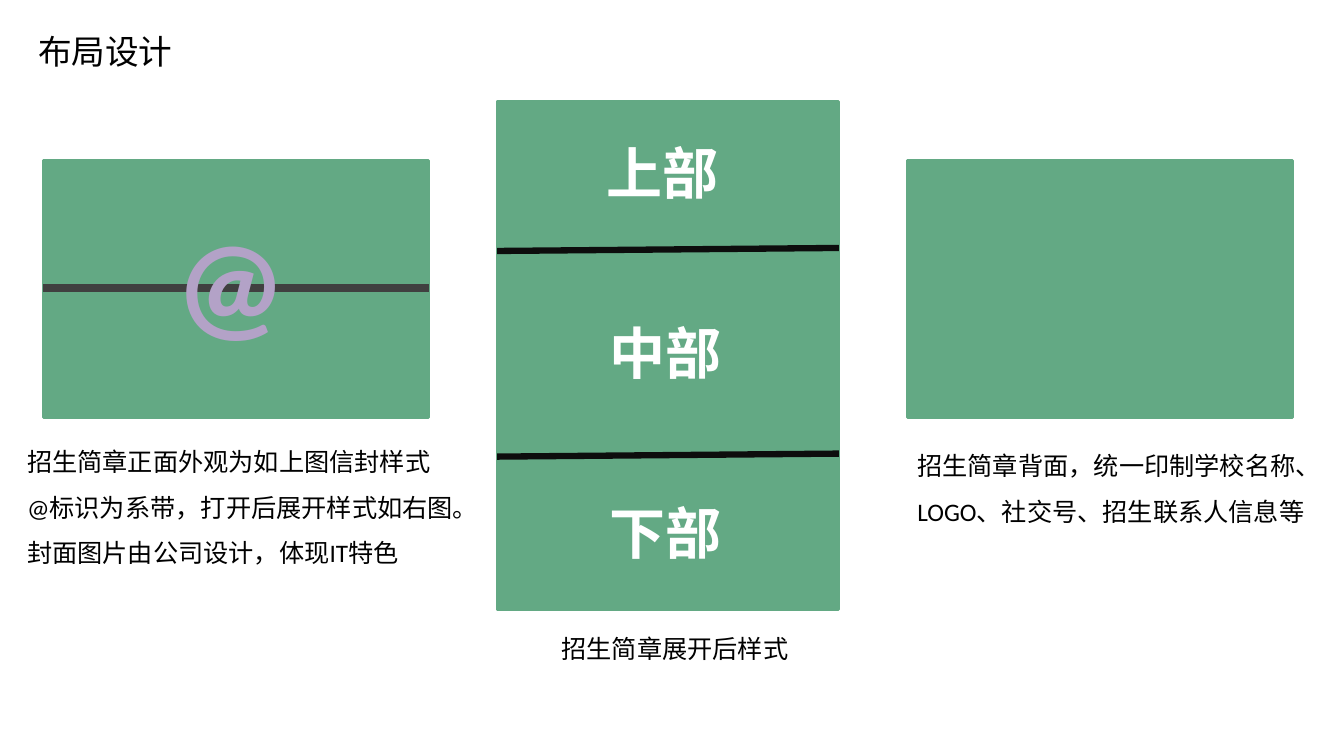
from dataclasses import dataclass

from lxml.etree import SubElement
from pptx import Presentation
from pptx.dml.color import RGBColor
from pptx.enum.shapes import MSO_CONNECTOR as Connector, MSO_SHAPE as Shape
from pptx.enum.text import MSO_ANCHOR as Anchor
from pptx.oxml.ns import qn
from pptx.util import Pt

PX = 9144


@dataclass(frozen=True)
class Theme:
    font: str = "Calibri"
    ink: str = "000000"
    paper: str = "63A984"
    ribbon: str = "404040"
    crease: str = "0D0D0D"
    seal: str = "B3A2C7"
    label: str = "FFFFFF"
    title_size: int = 24
    caption_size: int = 18
    label_size: int = 40
    seal_size: int = 88
    edge_width: float = 2
    ribbon_width: float = 6
    crease_width: float = 4.5


THEME = Theme()


def emu(*lengths):
    return [length * PX for length in lengths]


def rgb(code):
    return RGBColor.from_string(code)


def add_sheet(shapes, x, y, width, height):
    sheet = shapes.add_shape(Shape.RECTANGLE, *emu(x, y, width, height))
    sheet.shadow.inherit = False
    sheet.fill.solid()
    sheet.fill.fore_color.rgb = rgb(THEME.paper)
    sheet.line.color.rgb = rgb(THEME.paper)
    sheet.line.width = Pt(THEME.edge_width)


def add_band(shapes, x1, y1, x2, y2, color, width):
    band = shapes.add_connector(Connector.STRAIGHT, *emu(x1, y1, x2, y2))
    band.line.color.rgb = rgb(color)
    band.line.width = Pt(width)
    SubElement(band._element.spPr, qn("a:effectLst"))


def add_text(shapes, box, lines, size, color=THEME.ink, bold=False,
             anchor=Anchor.TOP, spacing=None):
    frame = shapes.add_textbox(*emu(*box)).text_frame
    frame.word_wrap = True
    frame.vertical_anchor = anchor
    frame.text = "\n".join(lines)
    for paragraph in frame.paragraphs:
        paragraph.line_spacing = spacing
        paragraph.font.name = THEME.font
        paragraph.font.size = Pt(size)
        paragraph.font.bold = bold
        paragraph.font.color.rgb = rgb(color)


def add_caption(shapes, box, lines, spacing=1.5):
    add_text(shapes, box, lines, THEME.caption_size,
             anchor=Anchor.BOTTOM, spacing=spacing)


def add_title(shapes, box):
    add_text(shapes, box, ["布局设计"], THEME.title_size, anchor=Anchor.MIDDLE)


def add_front(shapes, x, y, width, height):
    envelope = shapes.add_group_shape().shapes
    add_sheet(envelope, x, y, width, height)
    middle = y + height // 2
    add_band(envelope, x, middle, x + width, middle,
             THEME.ribbon, THEME.ribbon_width)
    add_text(envelope, (x + 121, y + 39, 140, 158), ["@"],
             THEME.seal_size, THEME.seal, bold=True)
    add_caption(shapes, (x - 26, y + height + 13, 456, 141), [
        "招生简章正面外观为如上图信封样式",
        "@标识为系带，打开后展开样式如右图。",
        "封面图片由公司设计，体现IT特色",
    ])


def add_unfolded(shapes, x, y, width, height):
    leaflet = shapes.add_group_shape().shapes
    folds = [y, y + 149, y + 349, y + height]
    for top, bottom in zip(folds, folds[1:]):
        add_sheet(leaflet, x, top, width, bottom - top)
    for left_end in (y + 148, y + 352):
        add_band(leaflet, x, left_end, x + width, left_end - 3,
                 THEME.crease, THEME.crease_width)
    labels = [("上部", 99, 32), ("中部", 102, 210), ("下部", 102, 389)]
    for label, dx, dy in labels:
        add_text(leaflet, (x + dx, y + dy, 140, 77), [label],
                 THEME.label_size, THEME.label, bold=True)
    add_caption(shapes, (x + 54, y + height + 20, 261, 39),
                ["招生简章展开后样式"], spacing=0.9)


def add_back(shapes, x, y, width, height):
    add_sheet(shapes, x, y, width, height)
    add_caption(shapes, (x, y + height + 34, 418, 79), [
        "招生简章背面，统一印制学校名称、",
        "LOGO、社交号、招生联系人信息等",
    ])


def main():
    deck = Presentation()
    deck.slide_width, deck.slide_height = emu(1333, 750)
    shapes = deck.slides.add_slide(deck.slide_layouts[6]).shapes
    add_title(shapes, (28, 27, 686, 47))
    add_front(shapes, 43, 159, 382, 255)
    add_unfolded(shapes, 493, 101, 339, 504)
    add_back(shapes, 900, 159, 382, 255)
    deck.save("out.pptx")


if __name__ == "__main__":
    main()
